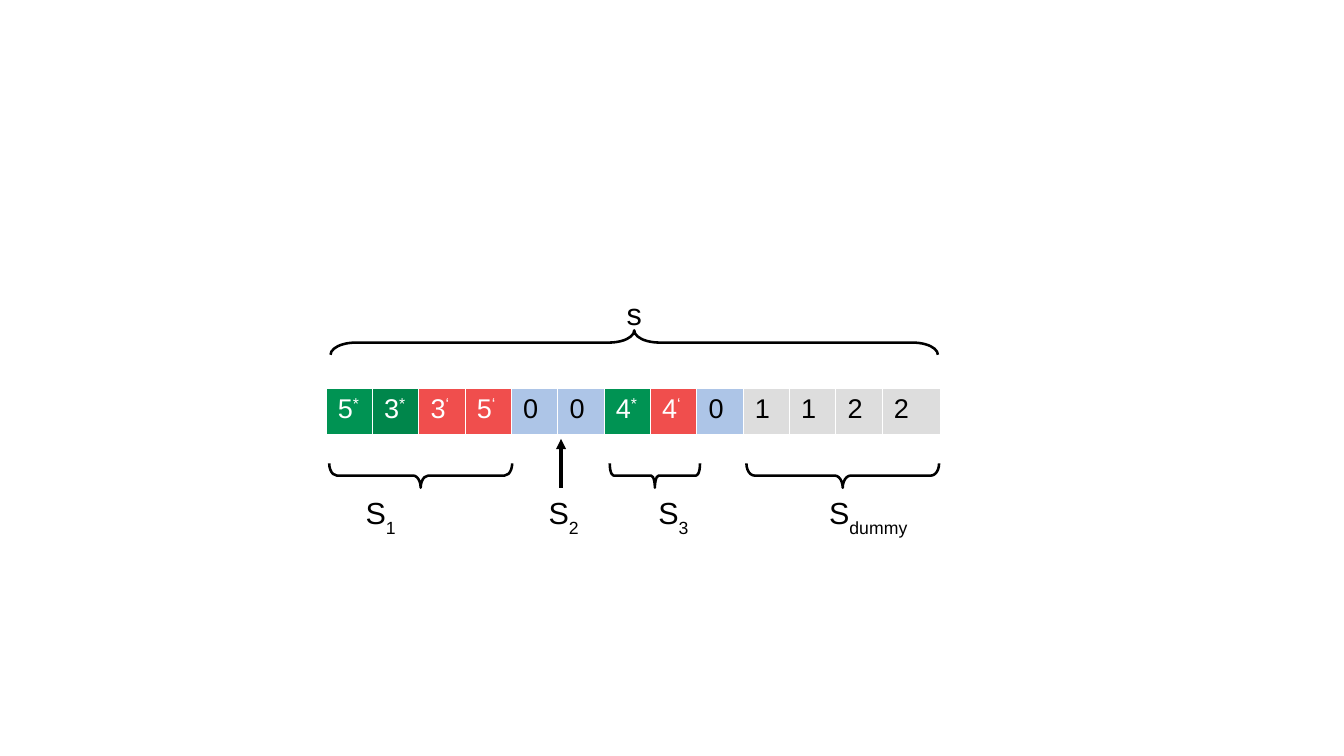
from lxml.etree import SubElement
from pptx import Presentation
from pptx.dml.color import RGBColor
from pptx.enum.shapes import MSO_CONNECTOR as CONNECTOR, MSO_SHAPE as SHAPE
from pptx.enum.text import MSO_AUTO_SIZE as AUTO_SIZE
from pptx.oxml.ns import qn
from pptx.util import Inches, Pt

BLACK = RGBColor(0x00, 0x00, 0x00)
WHITE = RGBColor(0xFF, 0xFF, 0xFF)
GREEN = RGBColor(0x00, 0x93, 0x53)
DARK_GREEN = RGBColor(0x00, 0x86, 0x4B)
RED = RGBColor(0xF0, 0x4E, 0x4D)
BLUE = RGBColor(0xAD, 0xC5, 0xE7)
GRAY = RGBColor(0xDD, 0xDD, 0xDD)
CELL = 0.38
BRACE_DEPTH = 0.2


def add_span(para, text, size, color, baseline=0):
    span = para.add_run()
    span.text = text
    span.font.name = "Arial"
    span.font.size = Pt(size)
    span.font.color.rgb = color
    if baseline:
        span.font._element.set("baseline", str(baseline * 1000))


deck = Presentation()
deck.slide_width = Inches(11.02)
deck.slide_height = Inches(6.2)
page = deck.slides.add_slide(deck.slide_layouts[6])

# Braces: left end, top edge, length, rotation
braces = [
    (2.7, 3.8, 1.5, 270),
    (5.0, 3.8, 0.74, 270),
    (6.12, 3.8, 1.58, 270),
    (2.71, 2.71, 4.98, 90),
]
for left, top, length, rotation in braces:
    # The upright box shares its centre with the rotated one
    shift = (length - BRACE_DEPTH) / 2
    brace = page.shapes.add_shape(
        SHAPE.LEFT_BRACE, Inches(left + shift), Inches(top - shift),
        Inches(BRACE_DEPTH), Inches(length))
    brace.rotation = rotation
    brace.adjustments[0] = length / 24 / BRACE_DEPTH
    brace.shadow.inherit = False
    brace.fill.background()
    brace.line.color.rgb = BLACK
    brace.line.width = Pt(1.5)

# Labels: text, subscript, left, top, width
labels = [
    ("S", "dummy", 6.7, 4.0, 1.1),
    ("S", "3", 5.3, 4.0, 0.5),
    ("S", "1", 2.9, 4.0, 0.5),
    ("S", "2", 4.4, 4.0, 0.5),
    ("s", "", 5.04, 2.37, 0.5),
]
for text, subscript, left, top, width in labels:
    box = page.shapes.add_textbox(Inches(left), Inches(top), Inches(width), Inches(0.44))
    box.text_frame.word_wrap = True
    box.text_frame.auto_size = AUTO_SIZE.SHAPE_TO_FIT_TEXT
    para = box.text_frame.paragraphs[0]
    add_span(para, text, 18, BLACK)
    if subscript:
        add_span(para, subscript, 18, BLACK, -33)

# Sequence table: digit, superscript, fill
entries = [
    ("5", "*", GREEN), ("3", "*", DARK_GREEN), ("3", "‘", RED), ("5", "‘", RED),
    ("0", "", BLUE), ("0", "", BLUE), ("4", "*", GREEN), ("4", "‘", RED), ("0", "", BLUE),
    ("1", "", GRAY), ("1", "", GRAY), ("2", "", GRAY), ("2", "", GRAY),
]
table = page.shapes.add_table(
    1, len(entries), Inches(2.67), Inches(3.18), Inches(5.08), Inches(CELL)).table
table.first_row = False
table.horz_banding = False
for index, (digit, mark, fill) in enumerate(entries):
    is_last = index == len(entries) - 1
    table.columns[index].width = Inches(0.48 if is_last else CELL)
    cell = table.cell(0, index)
    color = WHITE if mark else BLACK
    para = cell.text_frame.paragraphs[0]
    add_span(para, digit, 16, color)
    if mark:
        add_span(para, mark, 16, color, 33)

    # White hairline borders go before the fill
    properties = cell._tc.get_or_add_tcPr()
    for side in ("a:lnL", "a:lnR", "a:lnT", "a:lnB"):
        border = SubElement(properties, qn(side), w=str(Pt(0.06)))
        border_fill = SubElement(border, qn("a:solidFill"))
        SubElement(border_fill, qn("a:srgbClr"), val=str(WHITE))
    cell.fill.solid()
    cell.fill.fore_color.rgb = fill

# Arrow from S2 up to the zeros
arrow = page.shapes.add_connector(
    CONNECTOR.STRAIGHT, Inches(4.6), Inches(4.0), Inches(4.6), Inches(3.6))
arrow.line.color.rgb = BLACK
arrow.line.width = Pt(0)
SubElement(arrow.line._get_or_add_ln(), qn("a:tailEnd"), type="triangle")
SubElement(arrow._element.spPr, qn("a:effectLst"))

deck.save("out.pptx")
